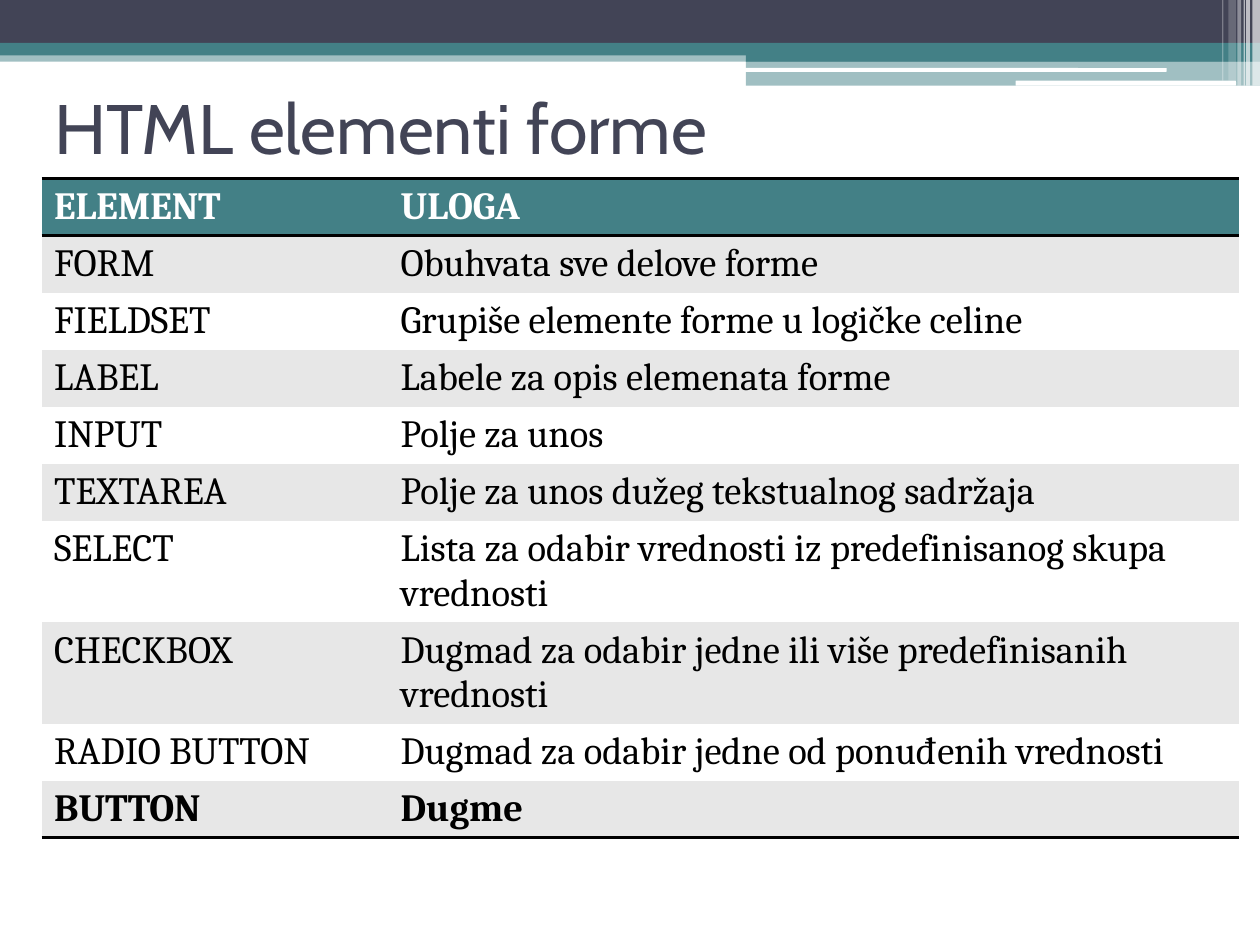
import pptx
import pptx.util
import pptx.dml.color
import pptx.enum.shapes
import pptx.enum.text
import pptx.oxml
import pptx.oxml.ns
from lxml import etree

Inches = pptx.util.Inches
RGBColor = pptx.dml.color.RGBColor
Shape = pptx.enum.shapes.MSO_SHAPE

INK = RGBColor(0x42, 0x44, 0x56)
TEAL = RGBColor(0x43, 0x80, 0x86)
GREY = RGBColor(0xE7, 0xE7, 0xE7)
WHITE = RGBColor(0xFF, 0xFF, 0xFF)
BLACK = RGBColor(0, 0, 0)

BANDS = [
    (0, 0.4, 10, 0.09, TEAL, 50),
    (0, 0, 10, 0.34, INK, 100),
    (0, 0.34, 10, 0.1, TEAL, 100),
    (5.92, 0.39, 4.08, 0.1, TEAL, 100),
    (5.92, 0.48, 4.08, 0.2, TEAL, 50),
]
RULES = [(5.91, 0.54, 3.35, 0.03), (8.06, 0.64, 1.75, 0.04)]
STRIPES = [
    (9.94, 0.06, 0.68, 65),
    (9.89, 0.03, 0.68, 65),
    (9.87, 0.01, 0.68, 60),
    (9.82, 0.03, 0.68, 40),
    (9.75, 0.06, 0.64, 20),
    (9.7, 0.01, 0.64, 30),
]
ELEMENTS = [
    ("ELEMENT", "ULOGA"),
    ("FORM", "Obuhvata sve delove forme"),
    ("FIELDSET", "Grupiše elemente forme u logičke celine"),
    ("LABEL", "Labele za opis elemenata forme"),
    ("INPUT", "Polje za unos"),
    ("TEXTAREA", "Polje za unos dužeg tekstualnog sadržaja"),
    ("SELECT", "Lista za odabir vrednosti iz predefinisanog skupa vrednosti"),
    ("CHECKBOX", "Dugmad za odabir jedne ili više predefinisanih vrednosti"),
    ("RADIO BUTTON", "Dugmad za odabir jedne od ponuđenih vrednosti"),
    ("BUTTON", "Dugme"),
]


class FormSlide:
    heading_font = "Cabin"
    body_font = "Cambria"

    def __init__(self, deck):
        self.page = deck.slides.add_slide(deck.slide_layouts[5])

    def format_text(self, frame, font, size, color, bold=False):
        for para in frame.paragraphs:
            para.alignment = pptx.enum.text.PP_ALIGN.LEFT
            for span in para.runs:
                span.font.name = font
                span.font.size = pptx.util.Pt(size)
                span.font.color.rgb = color
                span.font.bold = bold

    def bar(self, left, top, width, height, color, opacity=100, kind=Shape.RECTANGLE):
        box = self.page.shapes.add_shape(
            kind, Inches(left), Inches(top), Inches(width), Inches(height))
        box.shadow.inherit = False
        box.line.fill.background()
        box.fill.solid()
        box.fill.fore_color.rgb = color
        if opacity < 100:
            tint = box.fill._xPr.find(".//" + pptx.oxml.ns.qn("a:srgbClr"))
            etree.SubElement(tint, pptx.oxml.ns.qn("a:alpha"), val=str(opacity * 1000))

    def title(self, text, left, top, width, height):
        box = self.page.shapes.title
        box.left, box.top = Inches(left), Inches(top)
        box.width, box.height = Inches(width), Inches(height)
        frame = box.text_frame
        frame.text = text
        frame.auto_size = pptx.enum.text.MSO_AUTO_SIZE.NONE
        frame.vertical_anchor = pptx.enum.text.MSO_ANCHOR.MIDDLE
        self.format_text(frame, self.heading_font, 40, INK)

    def borders(self, cell, ruled_sides):
        properties = cell._tc.get_or_add_tcPr()
        for position, side in enumerate("LRTB"):
            paint = "<a:noFill/>"
            if side in ruled_sides:
                paint = f'<a:solidFill><a:srgbClr val="{BLACK}"/></a:solidFill>'
            properties.insert(position, pptx.oxml.parse_xml(
                f'<a:ln{side} {pptx.oxml.ns.nsdecls("a")} w="{pptx.util.Pt(2)}">'
                f'{paint}</a:ln{side}>'))

    def table(self, rows, left, top, widths, row_height):
        table = self.page.shapes.add_table(
            len(rows), len(widths), Inches(left), Inches(top),
            Inches(sum(widths)), Inches(row_height * len(rows))).table
        table.first_row = table.horz_banding = False
        for column, width in zip(table.columns, widths):
            column.width = Inches(width)
        last = len(rows) - 1
        for index, texts in enumerate(rows):
            header = index == 0
            fill = TEAL if header else GREY if index % 2 else WHITE
            ruled_sides = ("T" if index < 2 else "") + ("B" if index in (0, last) else "")
            for column, text in enumerate(texts):
                cell = table.cell(index, column)
                cell.text_frame.text = text
                cell.fill.solid()
                cell.fill.fore_color.rgb = fill
                self.format_text(cell.text_frame, self.body_font, 22,
                                 WHITE if header else BLACK, index in (0, last))
                self.borders(cell, ruled_sides)


deck = pptx.Presentation()
deck.slide_width, deck.slide_height = Inches(10), Inches(7.5)
slide = FormSlide(deck)
for band in BANDS:
    slide.bar(*band)
for rule in RULES:
    slide.bar(*rule, WHITE, kind=Shape.ROUNDED_RECTANGLE)
for left, width, height, opacity in STRIPES:
    slide.bar(left, 0, width, height, WHITE, opacity)
slide.title("HTML elementi forme", 0.33, 0.42, 9, 1.17)
slide.table(ELEMENTS, 0.33, 1.42, [2.75, 6.75], 0.41)
deck.save("out.pptx")
